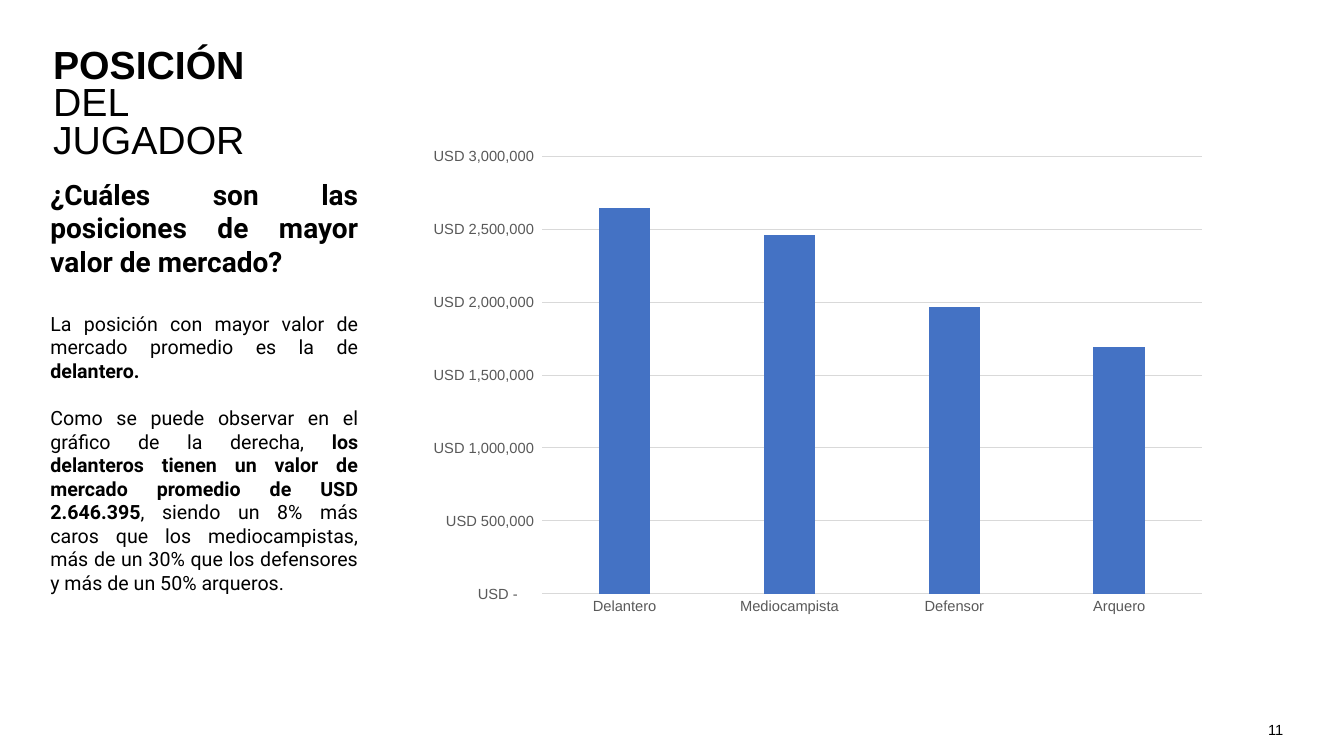
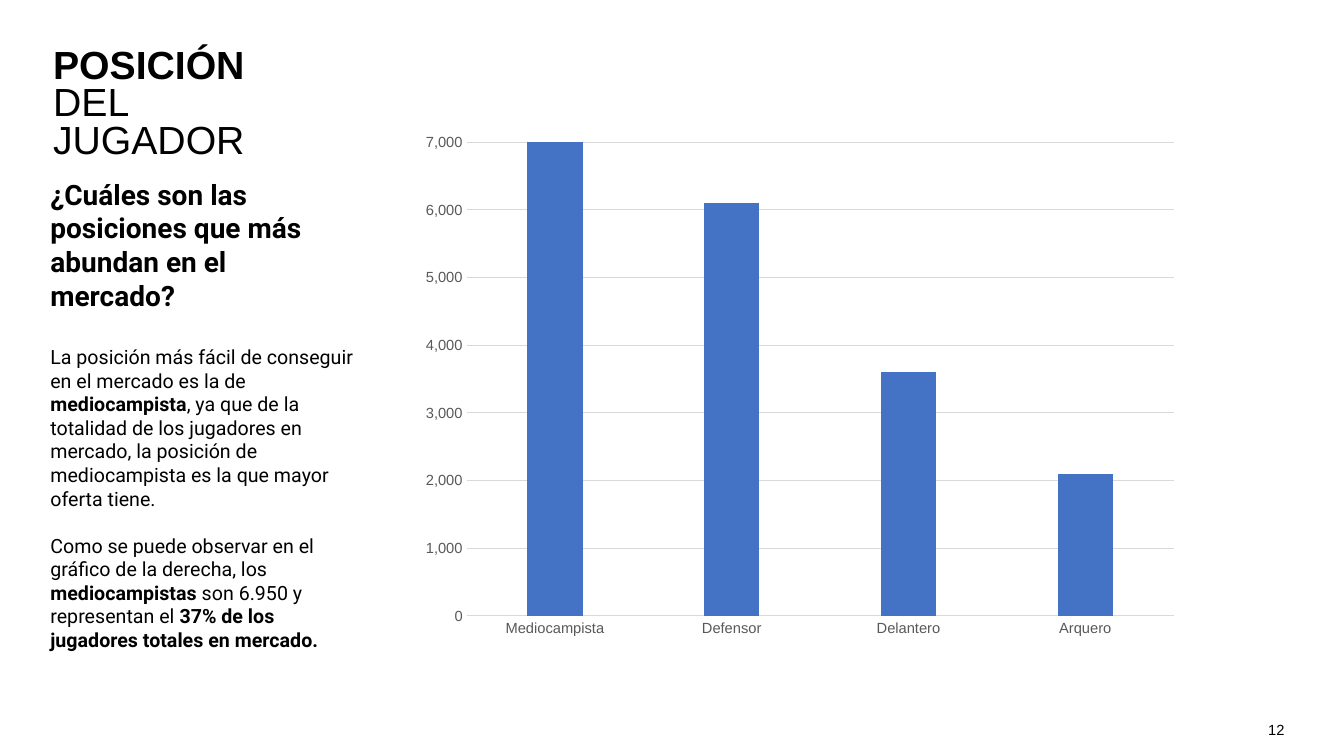
import pptx
import pptx.chart.data
import pptx.dml.color
import pptx.enum.chart
import pptx.enum.text
import pptx.util

Cm = pptx.util.Cm
Pt = pptx.util.Pt
RGBColor = pptx.dml.color.RGBColor
PP_ALIGN = pptx.enum.text.PP_ALIGN

BLACK = RGBColor(0x00, 0x00, 0x00)
LABEL_GRAY = RGBColor(0x59, 0x59, 0x59)
GRID_GRAY = RGBColor(0xD9, 0xD9, 0xD9)
BAR_BLUE = RGBColor(0x44, 0x72, 0xC4)
TITLE_FONT = "Arial"
BODY_FONT = "Roboto"

TITLE_LINES = [("POSICIÓN", True), ("DEL", False), ("JUGADOR", False)]

SLIDES = [
    {
        "number": "11",
        "align": PP_ALIGN.JUSTIFY,
        "question": "¿Cuáles son las posiciones de mayor valor de mercado?",
        "answer": [
            [("La posición con mayor valor de mercado promedio es la de ", False),
             ("delantero.", True)],
            [("Como se puede observar en el gráfico de la derecha,", False),
             (" los delanteros tienen un valor de mercado promedio de USD 2.646.395", True),
             (", siendo un 8% más caros que los mediocampistas, más de un 30% que los "
              "defensores y más de un 50% arqueros.", False)],
        ],
        "chart_box": (10.42, 3.49, 20.27, 12.24),
        "series": "Valor promedio",
        "values": {"Delantero": 2650000, "Mediocampista": 2460000,
                   "Defensor": 1970000, "Arquero": 1690000},
        "scale": (3000000, 500000),
        "format": r'_-[$USD]\ * #,##0_-;\-[$USD]\ * #,##0_-;_-[$USD]\ * "-"??_-;_-@_-',
    },
    {
        "number": "12",
        "align": PP_ALIGN.LEFT,
        "question": "¿Cuáles son las posiciones que más abundan en el mercado?",
        "answer": [
            [("La posición más fácil de conseguir en el mercado es la de ", False),
             ("mediocampista", True),
             (", ya que de la totalidad de los jugadores en mercado, la posición de "
              "mediocampista es la que mayor oferta tiene.", False)],
            [("Como se puede observar en el gráfico de la derecha, los ", False),
             ("mediocampistas", True),
             (" son 6.950 y representan el ", False),
             ("37% de los jugadores totales en mercado.", True)],
        ],
        "chart_box": (10.34, 3.11, 19.63, 13.2),
        "series": "Jugadores",
        "values": {"Mediocampista": 7000, "Defensor": 6100,
                   "Delantero": 3600, "Arquero": 2100},
        "scale": (7000, 1000),
        "format": "#,##0",
    },
]


def style_font(font, name, size, color):
    font.name = name
    font.size = Pt(size)
    font.color.rgb = color


def add_frame(slide, box, margins=True):
    frame = slide.shapes.add_textbox(*map(Cm, box)).text_frame
    frame.word_wrap = True
    if not margins:
        frame.margin_left = frame.margin_right = 0
        frame.margin_top = frame.margin_bottom = 0
    return frame


def add_lines(frame, lines, font_name, size, align=PP_ALIGN.LEFT):
    paragraphs = []
    for runs in lines:
        first = frame.paragraphs[0]
        paragraph = frame.add_paragraph() if first.runs else first
        paragraph.alignment = align
        style_font(paragraph.font, font_name, size, BLACK)
        for text, bold in runs:
            run = paragraph.add_run()
            run.text = text
            run.font.bold = bold
        paragraphs.append(paragraph)
    return paragraphs


def add_title(slide):
    frame = add_frame(slide, (1.34, 1.24, 20.27, 2.87), margins=False)
    for line in add_lines(frame, [[line] for line in TITLE_LINES], TITLE_FONT, 28):
        line.line_spacing = 0.8


def add_page_number(slide, number):
    frame = add_frame(slide, (31.96, 18.1, 1.9, 0.58), margins=False)
    frame.vertical_anchor = pptx.enum.text.MSO_ANCHOR.MIDDLE
    add_lines(frame, [[(number, None)]], TITLE_FONT, 10.5)


def add_commentary(slide, content):
    frame = add_frame(slide, (1.02, 4.34, 8.26, 10.59))
    align = content["align"]
    add_lines(frame, [[(content["question"], True)]], BODY_FONT, 20, align)
    answer = add_lines(frame, content["answer"], BODY_FONT, 14, align)
    for paragraph, gap in zip(answer, (24, 17)):
        paragraph.space_before = Pt(gap)


def style_line(line):
    line.color.rgb = GRID_GRAY
    line.width = Pt(0.75)


def add_columns(slide, content):
    data = pptx.chart.data.CategoryChartData()
    data.categories = list(content["values"])
    data.add_series(content["series"], list(content["values"].values()))
    chart = slide.shapes.add_chart(
        pptx.enum.chart.XL_CHART_TYPE.COLUMN_CLUSTERED,
        *map(Cm, content["chart_box"]), data).chart
    chart.has_legend = False
    chart.has_title = False
    style_font(chart.font, TITLE_FONT, 10, BLACK)

    plot = chart.plots[0]
    plot.gap_width = 219
    plot.overlap = -27
    plot.vary_by_categories = False
    columns = plot.series[0].format.fill
    columns.solid()
    columns.fore_color.rgb = BAR_BLUE

    positions, amounts = chart.category_axis, chart.value_axis
    for axis in (positions, amounts):
        axis.major_tick_mark = pptx.enum.chart.XL_TICK_MARK.NONE
        axis.minor_tick_mark = pptx.enum.chart.XL_TICK_MARK.NONE
        style_font(axis.tick_labels.font, TITLE_FONT, 10.5, LABEL_GRAY)
    style_line(positions.format.line)
    style_line(amounts.major_gridlines.format.line)
    amounts.format.line.fill.background()
    amounts.minimum_scale = 0
    amounts.maximum_scale, amounts.major_unit = content["scale"]
    amounts.tick_labels.number_format = content["format"]
    amounts.tick_labels.number_format_is_linked = False


def main():
    deck = pptx.Presentation()
    deck.slide_width, deck.slide_height = Cm(33.87), Cm(19.05)
    for content in SLIDES:
        slide = deck.slides.add_slide(deck.slide_layouts[6])
        add_commentary(slide, content)
        add_page_number(slide, content["number"])
        add_title(slide)
        add_columns(slide, content)
    deck.save("out.pptx")


if __name__ == "__main__":
    main()
